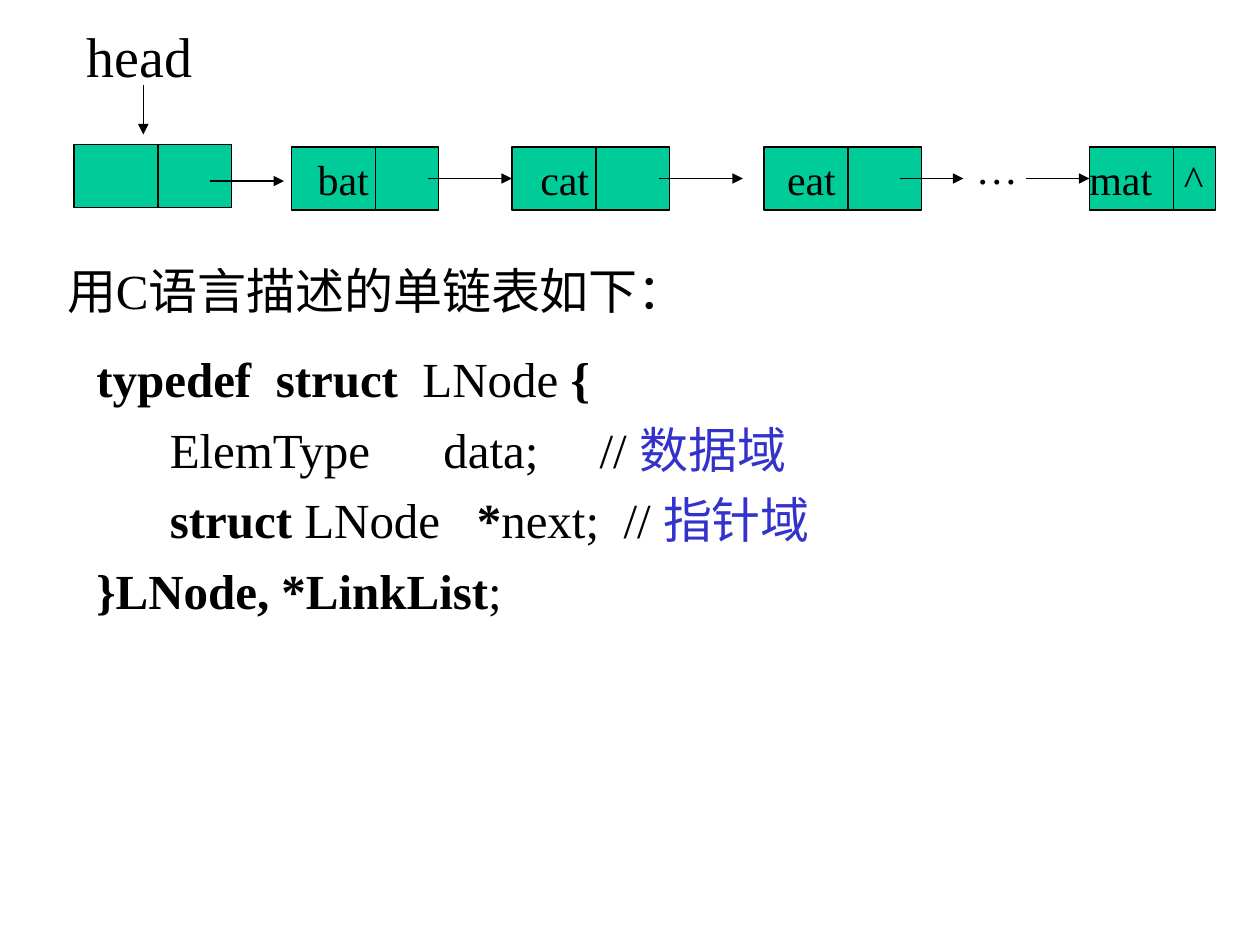
from collections import namedtuple

from lxml.etree import SubElement
from pptx import Presentation
from pptx.dml.color import RGBColor
from pptx.enum.shapes import MSO_CONNECTOR, MSO_SHAPE
from pptx.enum.text import MSO_ANCHOR, PP_ALIGN
from pptx.oxml.ns import qn
from pptx.util import Inches, Pt

BLACK = RGBColor(0x00, 0x00, 0x00)
GREEN = RGBColor(0x00, 0xCC, 0x99)
BLUE = RGBColor(0x33, 0x33, 0xCC)
FONT = "Times New Roman"
CELL = Inches(10) / 120
DATA_COLUMNS = 8
NODE_ROWS = 6

Box = namedtuple("Box", "left top width height")


def cells(count):
    """Turn a number of grid columns or rows into a length."""
    return round(count * CELL)


def style_span(span, size, color=BLACK, bold=False):
    """Set the font of one run."""
    span.font.name = FONT
    span.font.size = Pt(size)
    span.font.bold = bold
    span.font.color.rgb = color


def add_line(page, start, end, arrow=False):
    """Draw a thin black line between two grid points."""
    line = page.shapes.add_connector(
        MSO_CONNECTOR.STRAIGHT, *map(cells, (*start, *end)))
    line.line.color.rgb = BLACK
    line.line.width = Pt(0.75)
    properties = line._element.spPr
    if arrow:
        SubElement(properties.find(qn("a:ln")), qn("a:tailEnd"), type="triangle")
    SubElement(properties, qn("a:effectLst"))
    return line


def add_text(page, box, text, size):
    """Place a wrapping text box and return its frame."""
    frame = page.shapes.add_textbox(*map(cells, box)).text_frame
    frame.word_wrap = True
    frame.text = text
    for span in frame.paragraphs[0].runs:
        style_span(span, size)
    return frame


def add_node(page, box, text="", indent=0):
    """Draw a list node with a data field and a pointer field."""
    node = page.shapes.add_shape(MSO_SHAPE.RECTANGLE, *map(cells, box))
    node.shadow.inherit = False
    node.fill.solid()
    node.fill.fore_color.rgb = GREEN
    node.line.color.rgb = BLACK
    node.line.width = Pt(0.75)
    divider = box.left + DATA_COLUMNS
    add_line(page, (divider, box.top), (divider, box.top + box.height))
    if text:
        frame = node.text_frame
        frame.word_wrap = False
        frame.vertical_anchor = MSO_ANCHOR.MIDDLE
        frame.margin_left = cells(indent)
        frame.margin_right = 0
        para = frame.paragraphs[0]
        tabs = SubElement(para._p.get_or_add_pPr(), qn("a:tabLst"))
        SubElement(tabs, qn("a:tab"), pos=str(cells(9)), algn="l")
        para.alignment = PP_ALIGN.LEFT
        para.text = text
        style_span(para.runs[0], 24)
    return node


def add_linked_list(page, box):
    """Draw the head pointer, the chain of nodes and their links."""
    left, top = box.left, box.top
    add_text(page, Box(left, top, 17, 7.5), "head", 32)
    add_line(page, (left + 6.6, top + 6.6), (left + 6.6, top + 11.3), True)
    add_node(page, Box(left, top + 12.25, 15, NODE_ROWS))
    add_line(page, (left + 13, top + 15.75), (left + 20, top + 15.75), True)

    node_top = top + 12.5
    middle = node_top + NODE_ROWS / 2
    nodes = [(20.7, 14, "bat", 2.5), (41.7, 15, "cat", 2.7),
             (65.7, 15, "eat", 2.2), (96.7, 12, "mat\t^", 0)]
    bat, cat, eat, mat = [
        add_node(page, Box(left + offset, node_top, width, NODE_ROWS), text, indent)
        for offset, width, text, indent in nodes]
    links = [(33.7, 41.7, cat), (55.7, 63.7, None),
             (78.7, 84.7, None), (90.7, 96.7, mat)]
    for start, end, target in links:
        link = add_line(page, (left + start, middle), (left + end, middle), True)
        if target:
            link.end_connect(target, 1)
    add_text(page, Box(left + 84.7, node_top - 1, 6.4, NODE_ROWS), "…", 24)


def add_code(page, box):
    """Write the type definition with bold keywords and blue comments."""
    lines = [
        [("typedef  struct  ", BLACK, True), ("LNode", BLACK, False),
         (" {", BLACK, True)],
        [("      ElemType      data;     // ", BLACK, False),
         ("数据域", BLUE, False)],
        [("      ", BLACK, False), ("struct", BLACK, True),
         (" LNode   ", BLACK, False), ("*", BLACK, True),
         ("next;  // ", BLACK, False), ("指针域", BLUE, False)],
        [("}LNode, *LinkList", BLACK, True), (";", BLACK, False)],
    ]
    frame = add_text(page, box, "", 28)
    for index, line in enumerate(lines):
        para = frame.add_paragraph() if index else frame.paragraphs[0]
        para.line_spacing = 1.2 if index else 1.0
        for text, color, bold in line:
            span = para.add_run()
            span.text = text
            style_span(span, 28, color, bold)


def main():
    """Build the slide and save it."""
    deck = Presentation()
    deck.slide_width, deck.slide_height = cells(120), cells(90)
    page = deck.slides.add_slide(deck.slide_layouts[6])
    add_linked_list(page, Box(7.05, 1.5, 109, 19))
    add_text(page, Box(5.2, 24.25, 100, 6.9), "用C语言描述的单链表如下：", 28)
    add_code(page, Box(8, 32.6, 70.5, 27))
    deck.save("out.pptx")


if __name__ == "__main__":
    main()
